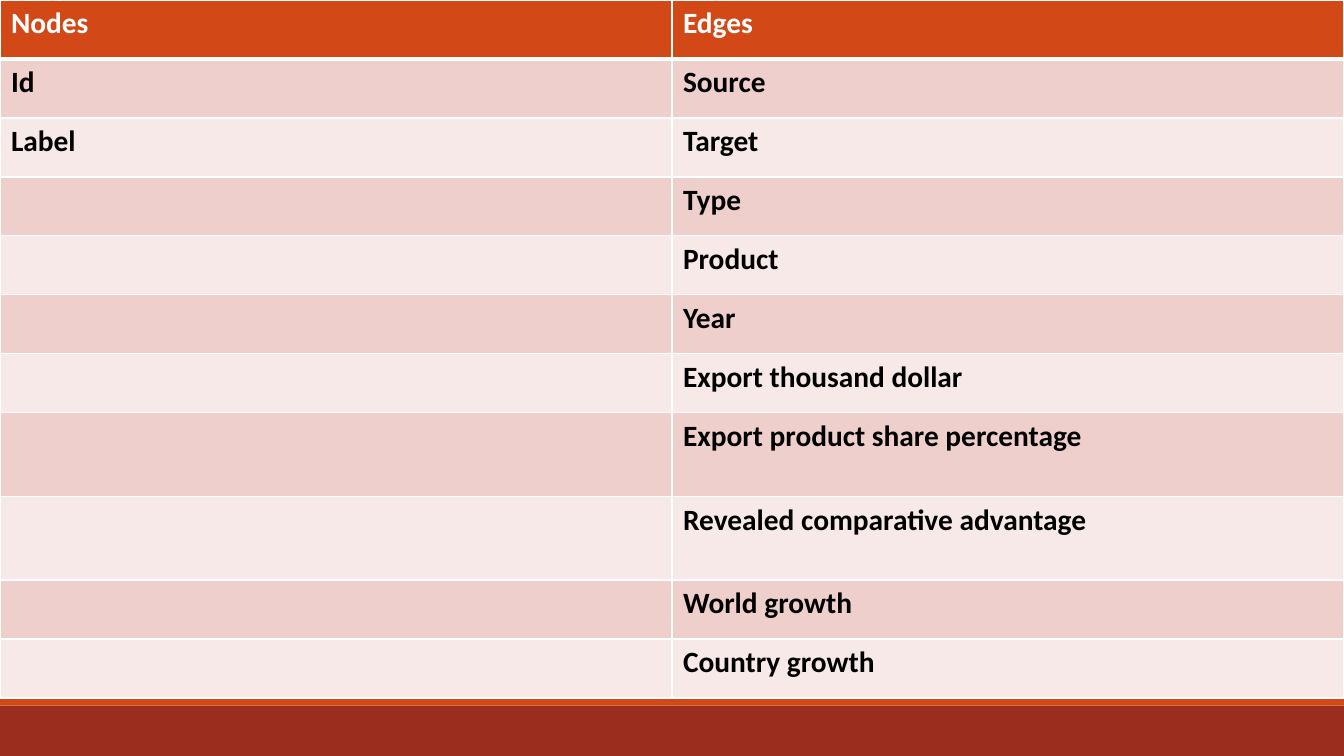
"""Build a slide with a table of node and edge attributes above a footer band."""
import dataclasses

import lxml.etree
import pptx
import pptx.dml.color
import pptx.enum.shapes
import pptx.oxml.ns
import pptx.slide
import pptx.table
import pptx.util

Pt = pptx.util.Pt

COLOURS: dict[str, str] = {
    "white": "FFFFFF",
    "black": "000000",
    "accent": "D34817",
    "footer": "9B2D1F",
    "dark_band": "EFCFCC",
    "light_band": "F7E9E8",
}
SLIDE_WIDTH, SLIDE_HEIGHT = 960, 540
ROW_HEIGHT, TALL_ROW_HEIGHT = 42.15, 59.75
MARGIN_X, MARGIN_Y = 7.9, 4.2
THIN_BORDER, HEADER_BORDER = 1, 3


@dataclasses.dataclass(frozen=True)
class Bar:
    top: float
    height: float
    colour: str


@dataclasses.dataclass(frozen=True)
class Row:
    node: str
    edge: str
    height: float = ROW_HEIGHT


BARS = [Bar(504, 36, "footer"), Bar(499, 5, "accent")]
ROWS = [
    Row("Nodes", "Edges"),
    Row("Id", "Source"),
    Row("Label", "Target"),
    Row("", "Type"),
    Row("", "Product"),
    Row("", "Year"),
    Row("", "Export thousand dollar"),
    Row("", "Export product share percentage", TALL_ROW_HEIGHT),
    Row("", "Revealed comparative advantage", TALL_ROW_HEIGHT),
    Row("", "World growth"),
    Row("", "Country growth"),
]


def rgb(name: str) -> pptx.dml.color.RGBColor:
    return pptx.dml.color.RGBColor.from_string(COLOURS[name])


def draw_bar(slide: pptx.slide.Slide, bar: Bar) -> None:
    shape = slide.shapes.add_shape(
        pptx.enum.shapes.MSO_SHAPE.RECTANGLE,
        Pt(0), Pt(bar.top), Pt(SLIDE_WIDTH), Pt(bar.height),
    )
    shape.shadow.inherit = False
    shape.fill.solid()
    shape.fill.fore_color.rgb = rgb(bar.colour)
    shape.line.fill.background()


def draw_borders(cell: pptx.table._Cell, top: float, bottom: float) -> None:
    qn = pptx.oxml.ns.qn
    properties = cell._tc.get_or_add_tcPr()
    widths = {"lnL": THIN_BORDER, "lnR": THIN_BORDER, "lnT": top, "lnB": bottom}
    for side, width in widths.items():
        line = lxml.etree.SubElement(properties, qn(f"a:{side}"), w=str(Pt(width)))
        fill = lxml.etree.SubElement(line, qn("a:solidFill"))
        lxml.etree.SubElement(fill, qn("a:srgbClr"), val=COLOURS["white"])


def draw_cell(cell: pptx.table._Cell, text: str, row_index: int) -> None:
    is_header = row_index == 0
    draw_borders(
        cell,
        top=HEADER_BORDER if row_index == 1 else THIN_BORDER,
        bottom=HEADER_BORDER if is_header else THIN_BORDER,
    )
    band = "dark_band" if row_index % 2 else "light_band"
    cell.fill.solid()
    cell.fill.fore_color.rgb = rgb("accent" if is_header else band)
    cell.margin_left = cell.margin_right = Pt(MARGIN_X)
    cell.margin_top = cell.margin_bottom = Pt(MARGIN_Y)
    cell.text = text
    font = cell.text_frame.paragraphs[0].font
    font.name = "Calibri"
    font.size = Pt(21)
    font.bold = True
    font.color.rgb = rgb("white" if is_header else "black")


def draw_table(slide: pptx.slide.Slide, rows: list[Row]) -> None:
    height = sum(row.height for row in rows)
    table = slide.shapes.add_table(
        len(rows), 2, Pt(0), Pt(0), Pt(SLIDE_WIDTH), Pt(height)
    ).table
    for row_index, row in enumerate(rows):
        table.rows[row_index].height = Pt(row.height)
        for column_index, text in enumerate((row.node, row.edge)):
            draw_cell(table.cell(row_index, column_index), text, row_index)


def main() -> None:
    deck = pptx.Presentation()
    deck.slide_width = Pt(SLIDE_WIDTH)
    deck.slide_height = Pt(SLIDE_HEIGHT)
    page = deck.slides.add_slide(deck.slide_layouts[6])
    for bar in BARS:
        draw_bar(page, bar)
    draw_table(page, ROWS)
    deck.save("out.pptx")


if __name__ == "__main__":
    main()
